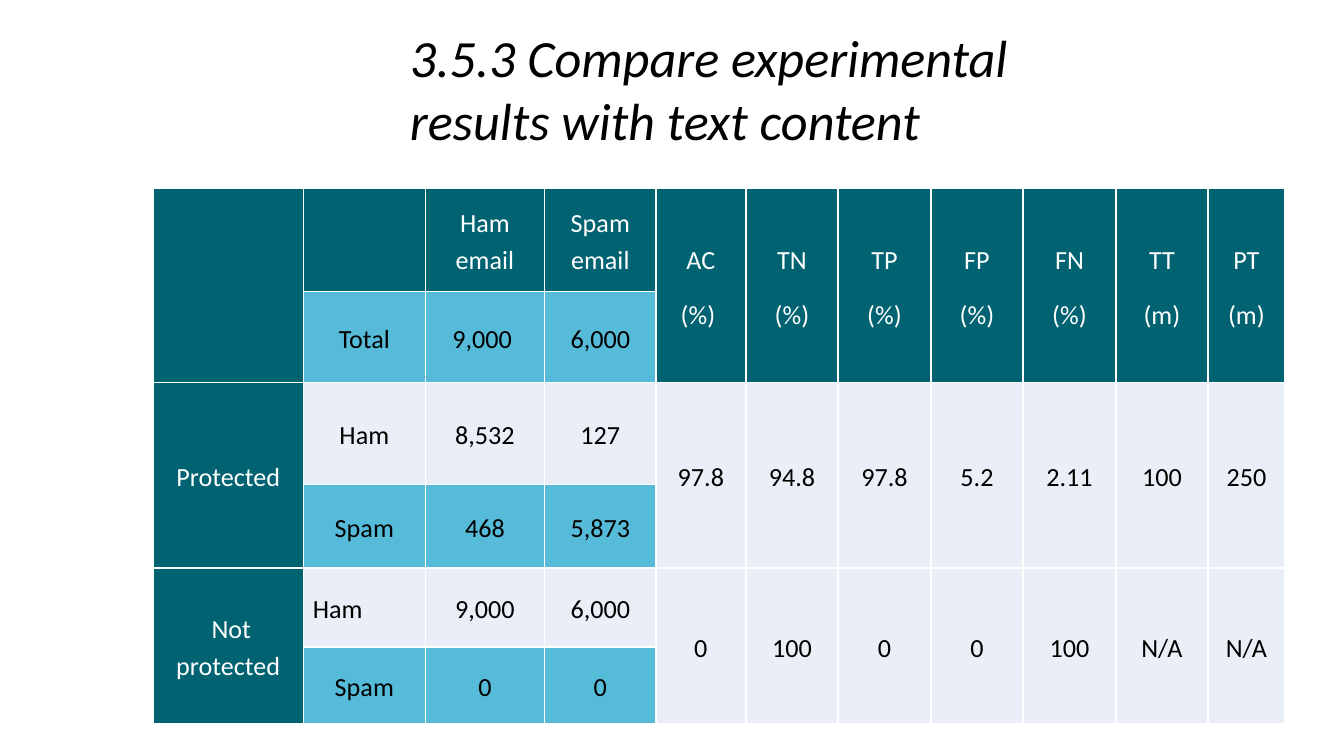
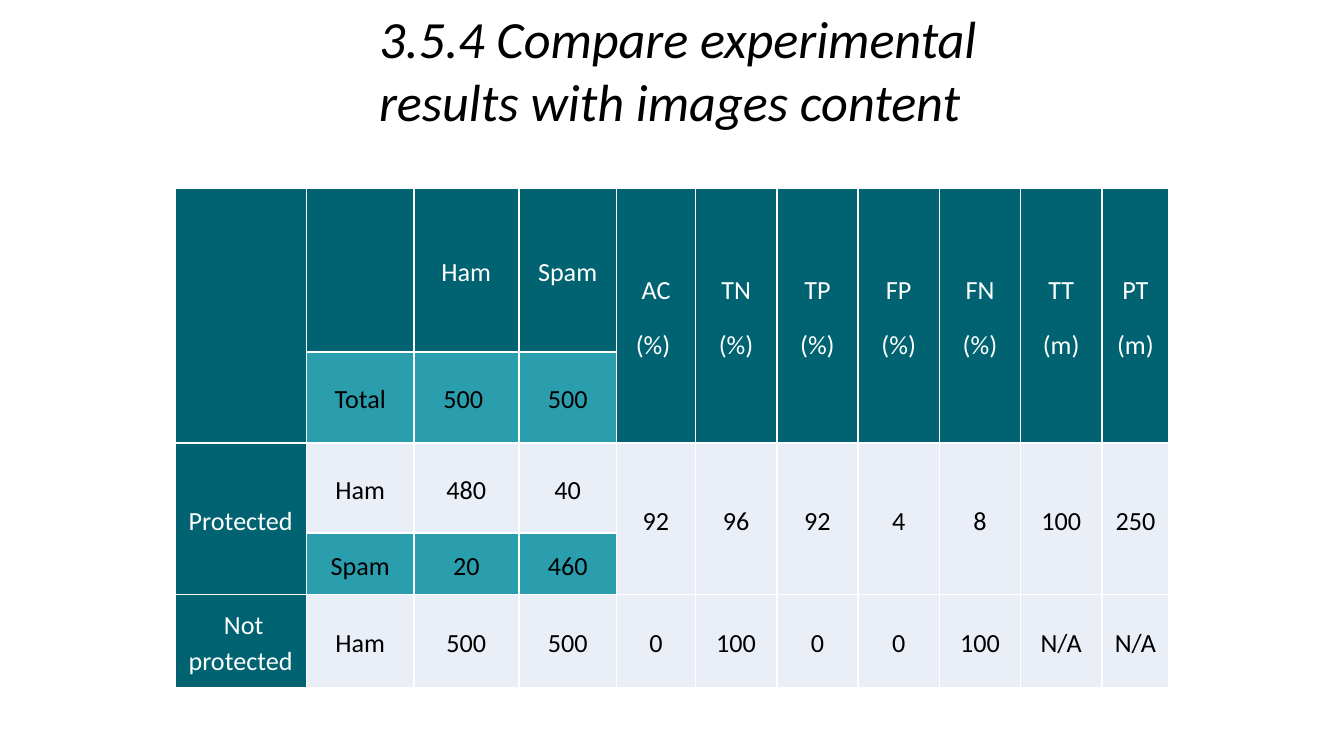
from pptx import Presentation
from pptx.dml.color import RGBColor
from pptx.enum.text import MSO_ANCHOR, MSO_AUTO_SIZE, PP_ALIGN
from pptx.util import Inches, Pt

LEFT, CENTER = PP_ALIGN.LEFT, PP_ALIGN.CENTER
TOP, MIDDLE = MSO_ANCHOR.TOP, MSO_ANCHOR.MIDDLE
FIT_SHAPE = MSO_AUTO_SIZE.SHAPE_TO_FIT_TEXT

BLACK = RGBColor(0x00, 0x00, 0x00)
WHITE = RGBColor(0xFF, 0xFF, 0xFF)
TEAL = RGBColor(0x01, 0x63, 0x71)
PALE = RGBColor(0xEA, 0xEF, 0xF7)
SKY = RGBColor(0x55, 0xBB, 0xD8)
AQUA = RGBColor(0x2B, 0x9E, 0xAE)

FONT = "Calibri"
TITLE_ONLY = 5
TABLE_TOP = 1.4
COLUMN_WEIGHTS = [1.12, 0.91, 0.89, 0.83, 0.67] + [0.69] * 5 + [0.57]
METRICS = ["AC\n(%) ", "TN\n(%)", "TP\n(%)", "FP\n(%)", "FN\n(%)", "TT\n(m)", "PT\n(m)"]
NO_METRICS = [None] * len(METRICS)
UNPROTECTED = ["0", "100", "0", "0", "100", "N/A", "N/A"]

TEXT_ROWS = [
    ["", "", "Ham email", "Spam email"] + METRICS,
    [None, "Total", "9,000 ", "6,000"] + NO_METRICS,
    ["Protected", "Ham", "8,532", "127", "97.8", "94.8", "97.8", "5.2", "2.11", "100", "250"],
    [None, "Spam", "468", "5,873"] + NO_METRICS,
    [" Not protected", "Ham", "9,000", "6,000"] + UNPROTECTED,
    [None, "Spam", "0", "0"] + NO_METRICS,
]
IMAGE_ROWS = [
    ["", "", "Ham", "Spam"] + METRICS,
    [None, "Total", "500 ", "500"] + NO_METRICS,
    ["Protected", "Ham", "480", "40", "92", "96", "92", "4", "8", "100", "250"],
    [None, "Spam", "20", "460"] + NO_METRICS,
    [" Not protected", "Ham", "500", "500"] + UNPROTECTED,
]


def write(tf, text, size=14, color=BLACK, italic=False, align=CENTER, spacing=None, after=0):
    """Write each line of the text as one formatted paragraph."""
    for i, line in enumerate(text.split("\n")):
        p = tf.paragraphs[0] if i == 0 else tf.add_paragraph()
        p.alignment = align
        p.space_after = Pt(after)
        if spacing:
            p.line_spacing = spacing
        r = p.add_run()
        r.text = line
        r.font.name, r.font.size = FONT, Pt(size)
        r.font.bold, r.font.italic = False, italic
        r.font.color.rgb = color


def add_title(s, text, left, top):
    """Place the slide title in its placeholder."""
    sp = s.shapes.title
    sp.left, sp.top, sp.width, sp.height = map(Inches, (left, top, 5, 1.04))
    tf = sp.text_frame
    tf.word_wrap, tf.auto_size, tf.vertical_anchor = True, FIT_SHAPE, TOP
    write(tf, text, size=28, italic=True, align=LEFT)


def format_cell(cell, text, header, fill, align):
    """Fill and write one table cell."""
    cell.fill.solid()
    cell.fill.fore_color.rgb = fill
    cell.margin_left = cell.margin_right = Inches(0.07)
    cell.margin_top = cell.margin_bottom = 0
    cell.vertical_anchor = MIDDLE
    if text:
        write(cell.text_frame, text, color=WHITE if header else BLACK,
              align=align, spacing=1.15, after=10)


def add_results(s, rows, heights, left, width, accent, left_cells=()):
    """Add a results table, merging every None with the cell above it."""
    table = s.shapes.add_table(len(rows), len(COLUMN_WEIGHTS), Inches(left), Inches(TABLE_TOP),
                               Inches(width), Inches(sum(heights))).table
    for column, weight in zip(table.columns, COLUMN_WEIGHTS):
        column.width = Inches(width * weight / sum(COLUMN_WEIGHTS))
    for row, height in zip(table.rows, heights):
        row.height = Inches(height)
    for i, values in enumerate(rows):
        for j, text in enumerate(values):
            header = i == 0 or j == 0
            fill = TEAL if header else accent if i % 2 else PALE
            align = LEFT if (i, j) in left_cells else CENTER
            format_cell(table.cell(i, j), text, header, fill, align)
            if text is None:
                table.cell(i - 1, j).merge(table.cell(i, j))


def main():
    """Build both comparison slides."""
    prs = Presentation()
    prs.slide_width = Inches(10)
    prs.slide_height = prs.slide_width * 9 // 16
    layout = prs.slide_layouts[TITLE_ONLY]

    s = prs.slides.add_slide(layout)
    add_title(s, "3.5.3 Compare experimental results with text content", 2.95, 0.14)
    add_results(s, TEXT_ROWS, [0.77, 0.37, 0.76, 0.62, 0.59, 0.57], 1.14, 8.42, SKY,
                left_cells=[(4, 1)])

    s = prs.slides.add_slide(layout)
    add_title(s, "3.5.4 Compare experimental results with images content", 2.72, 0)
    add_results(s, IMAGE_ROWS, [1.22, 0.59, 0.67, 0.46, 0.69], 1.3, 7.4, AQUA)

    prs.save("out.pptx")


if __name__ == "__main__":
    main()
